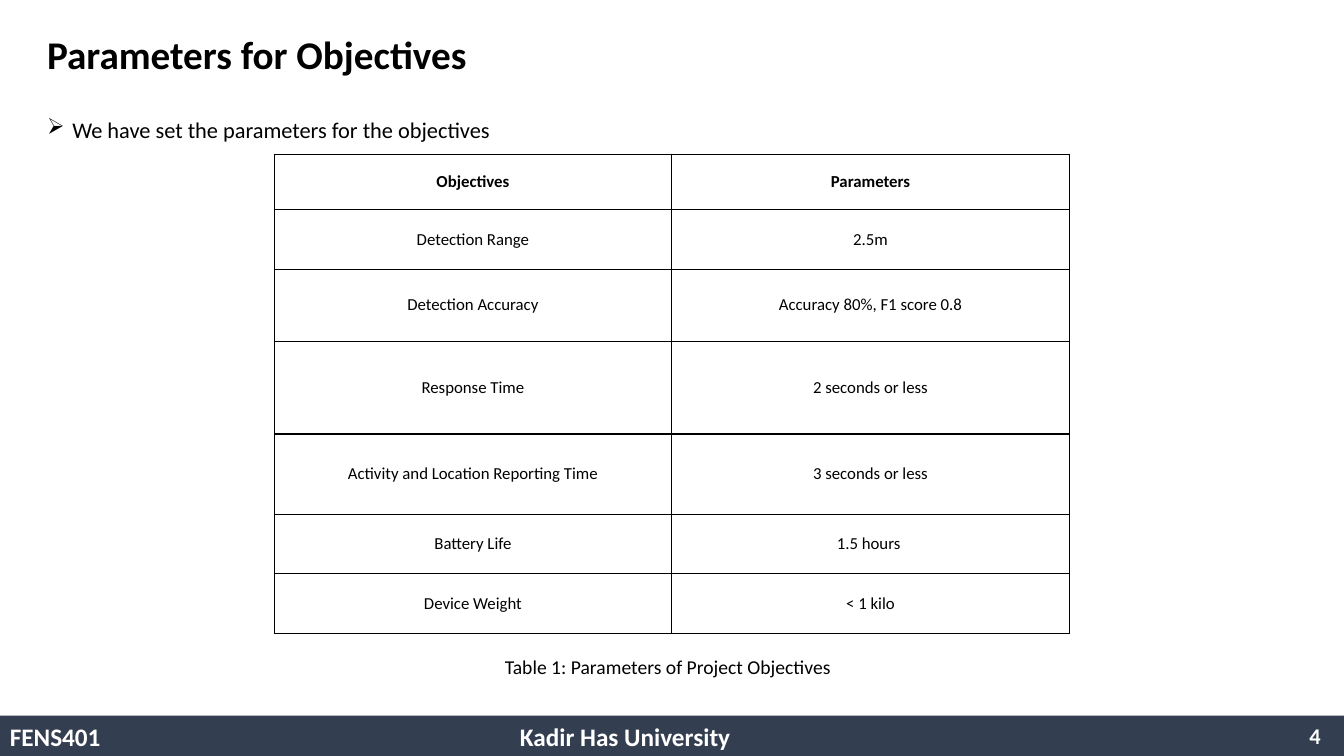
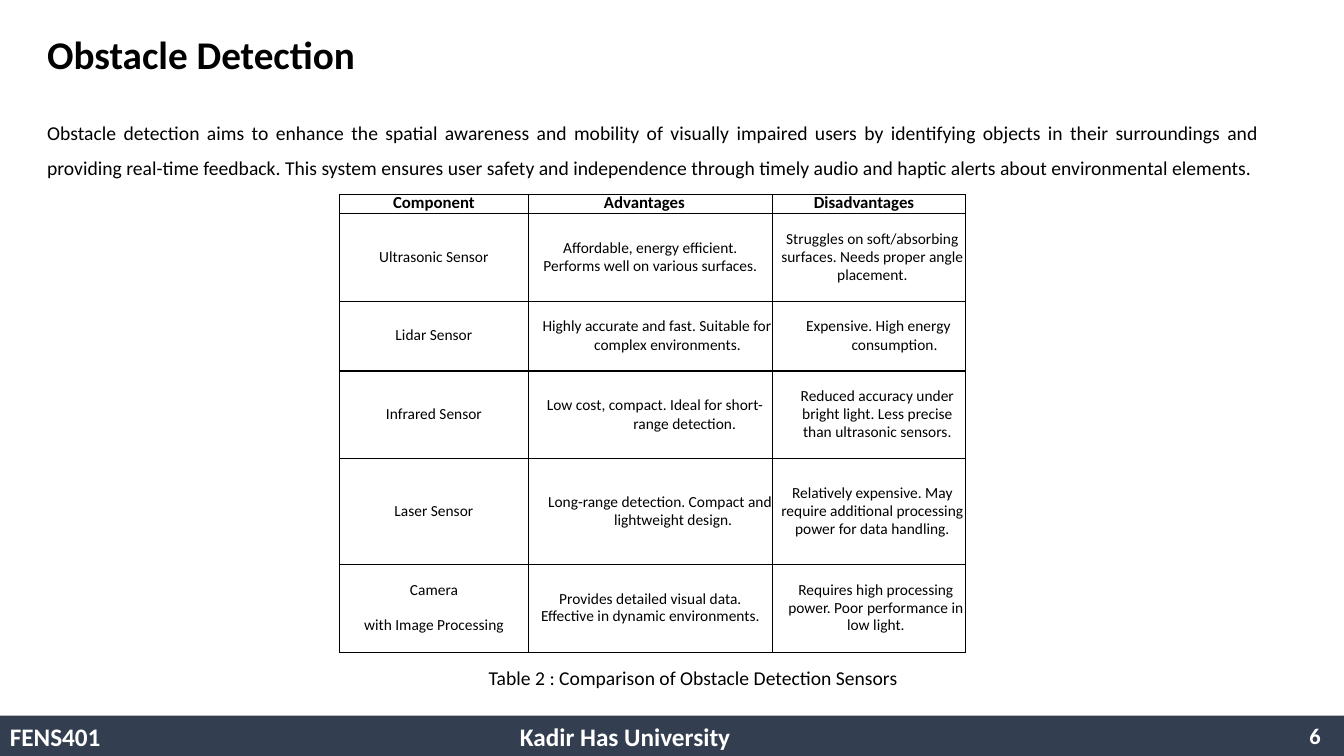
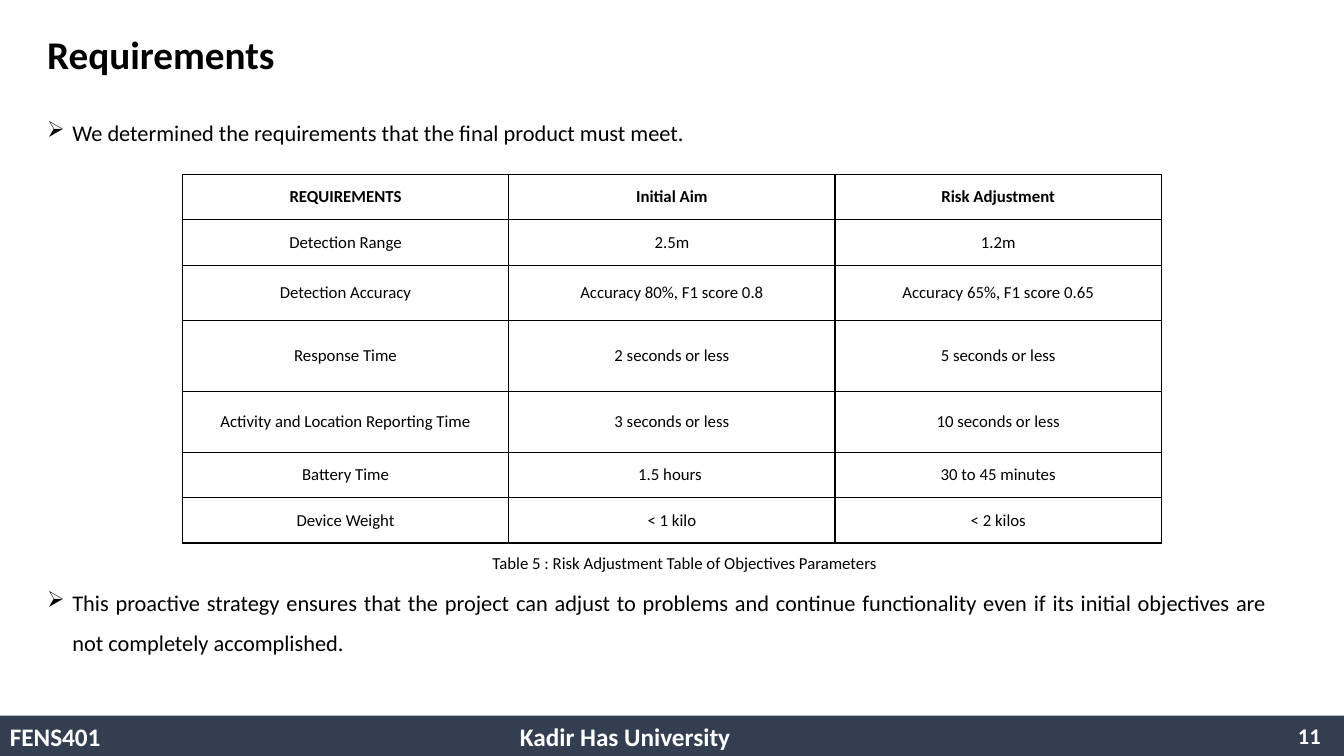
from lxml import etree
from pptx import Presentation
from pptx.dml.color import RGBColor
from pptx.enum.shapes import MSO_SHAPE
from pptx.enum.text import MSO_ANCHOR, PP_ALIGN
from pptx.oxml import parse_xml
from pptx.oxml.ns import nsdecls, qn
from pptx.util import Pt

BLACK = RGBColor(0x00, 0x00, 0x00)
WHITE = RGBColor(0xFF, 0xFF, 0xFF)
NAVY = RGBColor(0x33, 0x3F, 0x50)
LEFT, MID, RIGHT, FULL = PP_ALIGN.LEFT, PP_ALIGN.CENTER, PP_ALIGN.RIGHT, PP_ALIGN.JUSTIFY
TOP, CENTER = MSO_ANCHOR.TOP, MSO_ANCHOR.MIDDLE
RECT = MSO_SHAPE.RECTANGLE
FONT = "Calibri"
WIDE, HIGH = 960, 540
EDGE = 26.6
BAND = 28.8


def write(frame, text, size=12, bold=False, color=BLACK, align=LEFT, anchor=TOP,
          lead=None, before=0, after=0, next_gap=None, left=0, first=0, bullet=None):
    """Fill a text frame, one paragraph for each line of text."""
    frame.word_wrap = True
    frame.vertical_anchor = anchor
    for i, line in enumerate(text.split("\n")):
        para = frame.add_paragraph() if i else frame.paragraphs[0]
        para.alignment = align
        para.line_spacing = lead
        para.space_before = Pt(next_gap if i and next_gap is not None else before)
        para.space_after = Pt(after)
        props = para._p.get_or_add_pPr()
        props.set("marL", str(Pt(left)))
        props.set("indent", str(Pt(first)))
        if bullet:
            etree.SubElement(props, qn("a:buChar")).set("char", bullet)
        run = para.add_run()
        run.text = line
        run.font.name, run.font.size, run.font.bold = FONT, Pt(size), bold
        run.font.color.rgb = color


def add_grid(slide, x, y, cols, heights, rows, pad, head, body):
    """Draw a ruled table; a cell is text or a pair of text and format."""
    table = slide.shapes.add_table(len(rows), len(cols), Pt(x), Pt(y),
                                   Pt(sum(cols)), Pt(sum(heights))).table
    table.horz_banding = table.first_row = False
    for col, width in zip(table.columns, cols):
        col.width = Pt(width)
    for r, (row, height) in enumerate(zip(rows, heights)):
        table.rows[r].height = Pt(height)
        for c, item in enumerate(row):
            text, extra = (item, {}) if isinstance(item, str) else item
            cell = table.cell(r, c)
            cell.margin_left = cell.margin_right = Pt(pad)
            cell.margin_top = cell.margin_bottom = 0
            form = {**(body if r else head), **extra}
            write(cell.text_frame, text, **form)
            cell.vertical_anchor = form["anchor"]
            for side in ("lnL", "lnR", "lnT", "lnB"):
                cell._tc.get_or_add_tcPr().append(parse_xml(
                    f'<a:{side} {nsdecls("a")} w="{Pt(1)}"><a:solidFill>'
                    f'<a:srgbClr val="{BLACK}"/></a:solidFill></a:{side}>'))
            cell.fill.background()


# Text formats
PLAIN = dict(align=MID, anchor=CENTER, before=12, after=12)
BOLD = dict(PLAIN, bold=True)
TIGHT = dict(size=11, align=MID, anchor=CENTER, lead=Pt(12.8), before=12)
LABEL = dict(bold=True, align=MID, anchor=TOP, lead=Pt(12.8))
POINT = dict(size=16, align=FULL, lead=1.5, before=10, left=18, first=-18, bullet="➢")
BODY = dict(size=14, align=FULL, lead=1.5, before=10)
FOOT = dict(bold=True, color=WHITE, anchor=CENTER)

# Slide contents: boxes are text, left, top, width, height, format
pages = [
    dict(
        number="4", title="Parameters for Objectives",
        boxes=[
            ("We have set the parameters for the objectives", EDGE, 69.8, 820, 40, POINT),
            ("Table 1: Parameters of Project Objectives", 353.5, 464.4, 344, 24.5, dict(size=14)),
        ],
        grid=dict(
            x=196, y=110.2, cols=[283.7, 284.3], pad=5, head=BOLD, body=PLAIN,
            heights=[39.6, 42.5, 51.5, 66.2, 57.4, 42.5, 42.5],
            rows=[
                ("Objectives", "Parameters"),
                ("Detection Range", "2.5m"),
                ("Detection Accuracy", "Accuracy 80%, F1 score 0.8"),
                ("Response Time", "2 seconds or less"),
                ("Activity and Location Reporting Time", "3 seconds or less"),
                ("Battery Life", "1.5 hours "),
                ("Device Weight", "< 1 kilo"),
            ])),
    dict(
        number="6", title="Obstacle Detection",
        boxes=[
            ("Obstacle detection aims to enhance the spatial awareness and mobility of "
             "visually impaired users by identifying objects in their surroundings and "
             "providing real-time feedback. This system ensures user safety and "
             "independence through timely audio and haptic alerts about environmental "
             "elements.", EDGE, 74.2, 880, 64, BODY),
            ("Table 2 : Comparison of Obstacle Detection Sensors",
             342, 472.3, 320, 24.5, dict(size=14)),
        ],
        grid=dict(
            x=242.6, y=139, cols=[134.8, 174.5, 137.6], pad=0, head=LABEL, body=TIGHT,
            heights=[13.6, 62.7, 49.7, 62.7, 75.5, 62.7],
            rows=[
                ("Component",
                 ("Advantages", dict(align=LEFT, left=54)),
                 ("Disadvantages", dict(align=LEFT, left=29.5))),
                ("Ultrasonic Sensor",
                 ("Affordable, energy efficient.\nPerforms well on various surfaces.",
                  dict(next_gap=0)),
                 ("Struggles on soft/absorbing surfaces. Needs proper angle placement.",
                  dict(left=5))),
                ("Lidar Sensor",
                 ("Highly accurate and fast. Suitable for complex environments.",
                  dict(left=24.5, first=-15, lead=None)),
                 ("Expensive. High energy consumption.",
                  dict(left=36.7, first=-23, lead=None))),
                ("Infrared Sensor",
                 ("Low cost, compact. Ideal for short- range detection.",
                  dict(left=49, first=-42.5, lead=None)),
                 ("Reduced accuracy under bright light. Less precise than ultrasonic sensors.",
                  dict(left=12.2))),
                ("Laser Sensor",
                 ("Long-range detection. Compact and lightweight design.",
                  dict(left=32.4, first=-18.7)),
                 ("Relatively expensive. May require additional processing power for data "
                  "handling.", dict(left=5))),
                ("Camera\nwith Image Processing",
                 ("Provides detailed visual data.\nEffective in dynamic environments.",
                  dict(next_gap=0)),
                 ("Requires high processing power. Poor performance in low light.",
                  dict(left=10))),
            ])),
    dict(
        number="11", title="Requirements",
        boxes=[
            ("We determined the requirements that the final product must meet.",
             EDGE, 72, 804, 44, POINT),
            ("Table 5 : Risk Adjustment Table of Objectives Parameters",
             344.7, 391, 300, 22, dict(size=12)),
            ("This proactive strategy ensures that the project can adjust to problems and "
             "continue functionality even if its initial objectives are not completely "
             "accomplished.", EDGE, 407.5, 885.6, 65, POINT),
        ],
        grid=dict(
            x=130.3, y=124.6, cols=[233.1] * 3, pad=5, head=BOLD, body=PLAIN,
            heights=[32.4, 32.4, 39.4, 50.6, 43.7, 32.4, 32.4],
            rows=[
                ("REQUIREMENTS", "Initial Aim", "Risk Adjustment"),
                ("Detection Range", "2.5m", "1.2m"),
                ("Detection Accuracy", "Accuracy 80%, F1 score 0.8",
                 "Accuracy 65%, F1 score 0.65"),
                ("Response Time", "2 seconds or less", "5 seconds or less"),
                ("Activity and Location Reporting Time", "3 seconds or less",
                 "10 seconds or less"),
                ("Battery Time", "1.5 hours ", "30 to 45 minutes"),
                ("Device Weight", "< 1 kilo", "< 2 kilos"),
            ])),
]

deck = Presentation()
deck.slide_width, deck.slide_height = Pt(WIDE), Pt(HIGH)

for page in pages:
    slide = deck.slides.add_slide(deck.slide_layouts[6])

    # Footer band
    band = slide.shapes.add_shape(RECT, 0, Pt(HIGH - BAND), Pt(WIDE), Pt(BAND))
    band.shadow.inherit = False
    band.fill.solid()
    band.fill.fore_color.rgb = NAVY
    band.line.fill.background()

    # Footer, title and page text
    shared = [
        ("FENS401", 0, 512, 200, BAND, dict(FOOT, size=18)),
        ("Kadir Has University", 364.3, 512, 240, BAND, dict(FOOT, size=18)),
        (page["number"], 734.4, 511.2, 216, BAND, dict(FOOT, size=16, align=RIGHT)),
        (page["title"], EDGE, 0, 828, 80.6,
         dict(size=28, bold=True, anchor=CENTER, lead=0.9)),
    ]
    for text, x, y, w, h, form in shared + page["boxes"]:
        box = slide.shapes.add_textbox(Pt(x), Pt(y), Pt(w), Pt(h))
        write(box.text_frame, text, **form)

    # Table
    add_grid(slide, **page["grid"])

deck.save("out.pptx")
